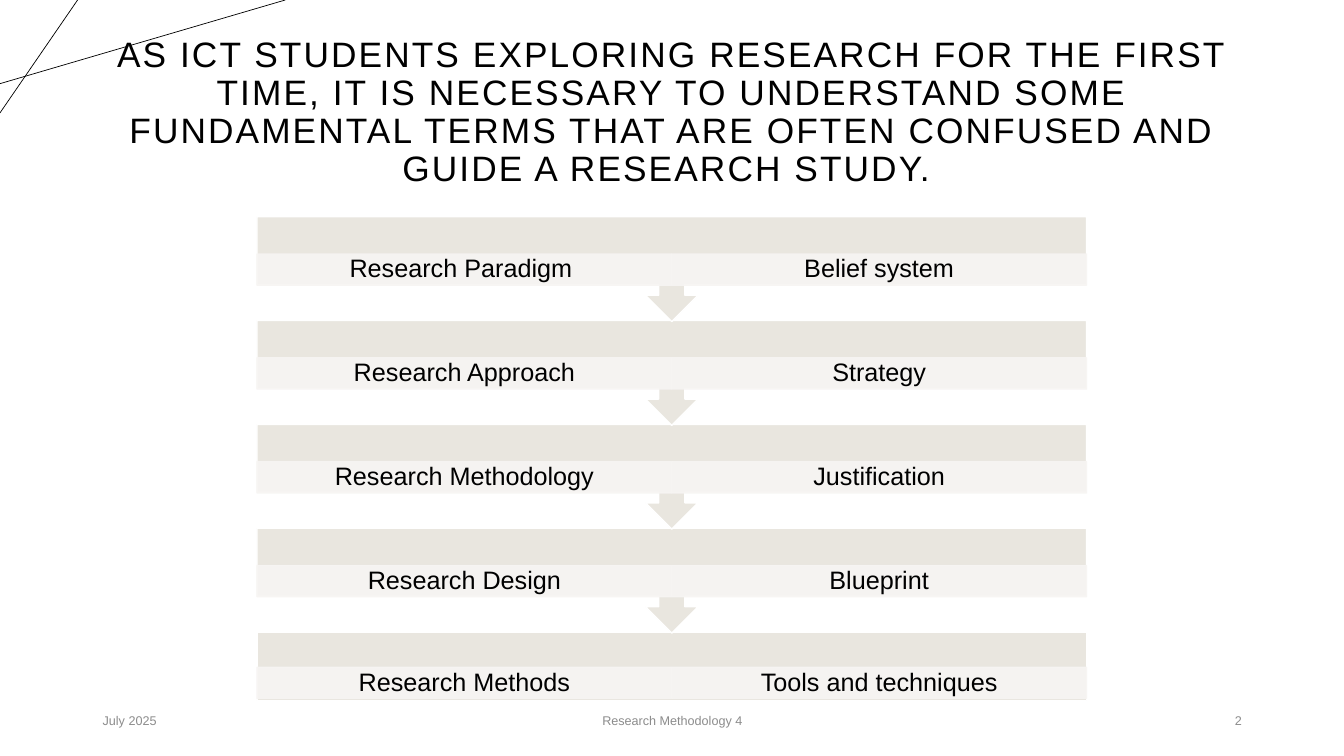
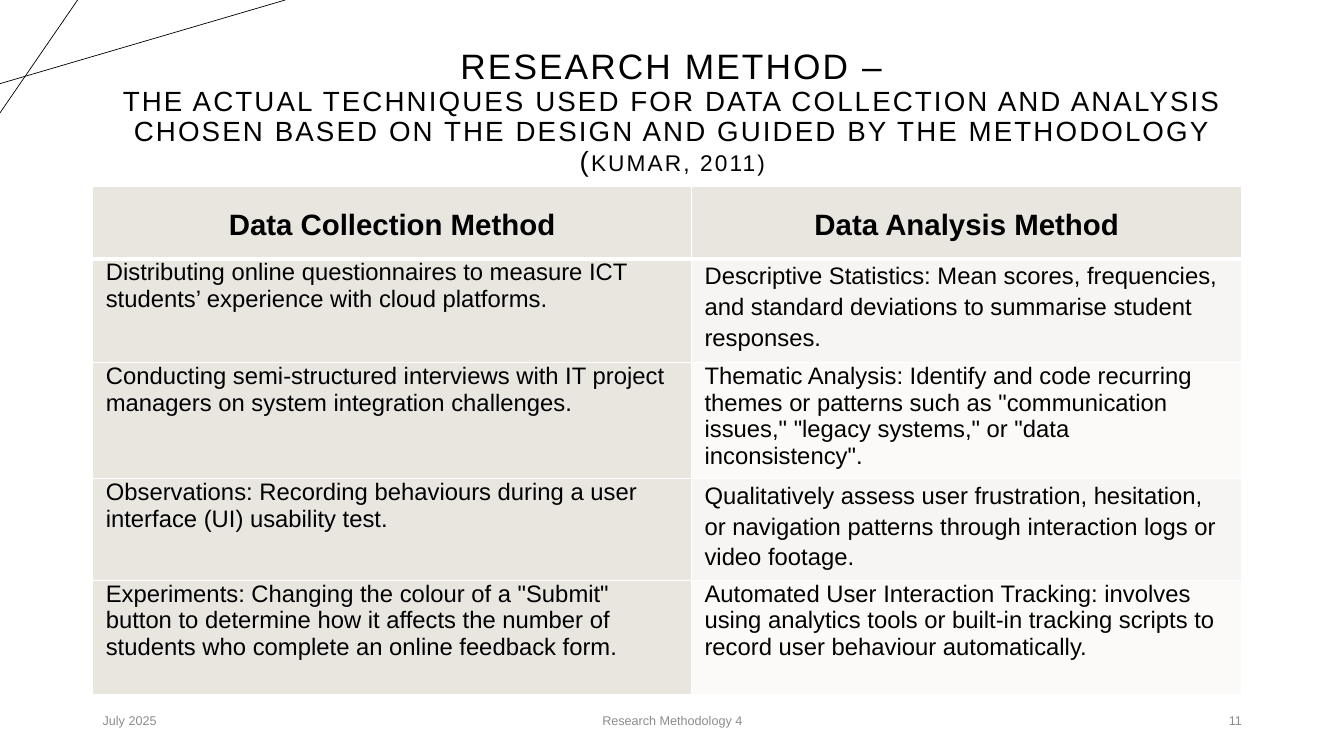
"""Build two research methodology slides: a chain of terms and a table of methods."""
from dataclasses import dataclass

from lxml.etree import SubElement
from pptx import Presentation
from pptx.dml.color import RGBColor
from pptx.enum.shapes import MSO_CONNECTOR, MSO_SHAPE
from pptx.enum.text import MSO_ANCHOR, MSO_AUTO_SIZE, PP_ALIGN
from pptx.oxml.ns import qn
from pptx.util import Inches, Pt


@dataclass(frozen=True)
class Theme:
    font: str = "Arial"
    ink: str = "000000"
    muted: str = "8C8C8C"
    paper: str = "FFFFFF"
    sand: str = "E9E6DF"
    pale: str = "F7F5F3"
    paler: str = "FBFAF9"
    title: float = 25.2
    subtitle: float = 19.8
    citation: float = 16.2
    header: float = 21
    term: float = 18
    body: float = 17
    footer: float = 9


THEME = Theme()

CORNER_LINES = [((0, 0.83), (2.83, 0)), ((0.77, 0), (0, 1.12))]
TITLE_PLACE = (0.92, 0.4, 11.5, 1.45)
FOOTER_TOP, FOOTER_HEIGHT = 6.95, 0.4
DATE, COURSE = "July 2025", "Research Methodology 4"

TERMS_TITLE = [[(
    "AS ICT STUDENTS EXPLORING RESEARCH FOR THE FIRST TIME, IT IS NECESSARY TO UNDERSTAND "
    "SOME FUNDAMENTAL TERMS THAT ARE OFTEN CONFUSED AND GUIDE A RESEARCH STUDY. ", THEME.title)]]
TERMS = [
    ("Research Paradigm ", "Belief system"),
    ("Research Approach", "Strategy"),
    ("Research Methodology", "Justification"),
    ("Research Design", "Blueprint"),
    ("Research Methods", "Tools and techniques"),
]

METHOD_TITLE = [
    [("RESEARCH METHOD –", THEME.title)],
    [("THE ACTUAL TECHNIQUES USED FOR DATA COLLECTION AND ANALYSIS CHOSEN BASED ON THE DESIGN "
      "AND GUIDED BY THE METHODOLOGY (", THEME.subtitle), ("KUMAR, 2011)", THEME.citation)],
]
METHOD_HEADERS = ("Data Collection Method", "Data Analysis Method")
METHODS = [
    ("Distributing online questionnaires to measure ICT students’ experience with cloud platforms.",
     "Descriptive Statistics: Mean scores, frequencies, and standard deviations to summarise "
     "student responses."),
    ("Conducting semi-structured interviews with IT project managers on system integration "
     "challenges.",
     "Thematic Analysis: Identify and code recurring themes or patterns such as \"communication "
     "issues,\" \"legacy systems,\" or \"data inconsistency\"."),
    ("Observations: Recording behaviours during a user interface (UI) usability test.",
     "Qualitatively assess user frustration, hesitation, or navigation patterns through "
     "interaction logs or video footage."),
    ("Experiments: Changing the colour of a \"Submit\" button to determine how it affects the "
     "number of students who complete an online feedback form.",
     "Automated User Interaction Tracking: involves using analytics tools or built-in tracking "
     "scripts to record user behaviour automatically."),
]
COLUMN_WIDTHS = (5.94, 5.46)
ROW_HEIGHTS = (0.72, 1.03, 1.15, 1.01, 1.13)


def inches(*values):
    return [Inches(value) for value in values]


def rgb(code):
    return RGBColor.from_string(code)


def add_span(para, text, size, color=THEME.ink, bold=False):
    span = para.add_run()
    span.text = text
    span.font.name = THEME.font
    span.font.size = Pt(size)
    span.font.bold = bold
    span.font.color.rgb = rgb(color)
    return span


def set_frame(frame, margins):
    frame.word_wrap = True
    frame.auto_size = MSO_AUTO_SIZE.NONE
    frame.vertical_anchor = MSO_ANCHOR.MIDDLE
    frame.margin_left = frame.margin_right = Inches(margins[0])
    frame.margin_top = frame.margin_bottom = Inches(margins[1])


def add_title(slide, lines):
    title = slide.shapes.title
    title.left, title.top, title.width, title.height = inches(*TITLE_PLACE)
    set_frame(title.text_frame, (0.1, 0.05))
    para = title.text_frame.paragraphs[0]
    para.alignment = PP_ALIGN.CENTER
    para.line_spacing = 0.9
    for index, line in enumerate(lines):
        if index:
            para.add_line_break()
        for text, size in line:
            span = add_span(para, text, size)
            span.font._element.set("spc", "150")


def add_corner_lines(slide):
    for start, end in CORNER_LINES:
        line = slide.shapes.add_connector(MSO_CONNECTOR.STRAIGHT, *inches(*start, *end))
        line.line.color.rgb = rgb(THEME.ink)
        line.line.width = Pt(0.5)
        SubElement(line._element.spPr, qn("a:effectLst"))


def add_footer(slide, number):
    parts = [(0.92, 3, DATE, PP_ALIGN.LEFT), (4.42, 4.5, COURSE, PP_ALIGN.CENTER),
             (9.42, 3, str(number), PP_ALIGN.RIGHT)]
    for left, width, text, alignment in parts:
        box = slide.shapes.add_textbox(*inches(left, FOOTER_TOP, width, FOOTER_HEIGHT))
        set_frame(box.text_frame, (0.1, 0.05))
        para = box.text_frame.paragraphs[0]
        para.alignment = alignment
        add_span(para, text, THEME.footer, THEME.muted)


def add_base_slide(deck, title, number):
    slide = deck.slides.add_slide(deck.slide_layouts[5])
    add_corner_lines(slide)
    add_title(slide, title)
    add_footer(slide, number)
    return slide


def add_panel(slide, kind, place, fill, line):
    panel = slide.shapes.add_shape(kind, *inches(*place))
    panel.shadow.inherit = False
    panel.fill.solid()
    panel.fill.fore_color.rgb = rgb(fill)
    panel.line.color.rgb = rgb(line)
    panel.line.width = Pt(1)
    return panel


def set_opacity(panel, percent):
    for color in panel._element.spPr.iter(qn("a:srgbClr")):
        SubElement(color, qn("a:alpha"), val=str(percent * 1000))


def add_term_chain(slide):
    left, top, width, pitch = 2.55, 2.15, 8.23, 1.03
    half = width / 2
    last = len(TERMS) - 1
    for index, names in reversed(list(enumerate(TERMS))):
        band_top = top + index * pitch
        is_last = index == last
        kind = MSO_SHAPE.RECTANGLE if is_last else MSO_SHAPE.DOWN_ARROW_CALLOUT
        height, name_offset = (0.68, 0.35) if is_last else (1.04, 0.37)
        add_panel(slide, kind, (left, band_top, width, height), THEME.sand, THEME.paper)
        for column, name in enumerate(names):
            place = (left + column * half, band_top + name_offset, half, 0.31)
            panel = add_panel(slide, MSO_SHAPE.RECTANGLE, place, THEME.pale, THEME.pale)
            set_opacity(panel, 90)
            set_frame(panel.text_frame, (0.14, 0.03))
            para = panel.text_frame.paragraphs[0]
            para.alignment = PP_ALIGN.CENTER
            para.line_spacing = 0.9
            add_span(para, name, THEME.term)


def set_borders(cell, top, bottom):
    properties = cell._tc.get_or_add_tcPr()
    for side, width in (("L", 1), ("R", 1), ("T", top), ("B", bottom)):
        border = SubElement(properties, qn("a:ln" + side), w=str(Pt(width)))
        fill = SubElement(border, qn("a:solidFill"))
        SubElement(fill, qn("a:srgbClr"), val=THEME.paper)


def fill_cell(cell, text, row, column):
    is_header = row == 0
    set_borders(cell, 3 if row == 1 else 1, 3 if is_header else 1)
    shade = THEME.pale if row % 2 else THEME.paler
    cell.fill.solid()
    cell.fill.fore_color.rgb = rgb(THEME.sand if is_header or column == 0 else shade)
    cell.margin_left = cell.margin_right = Inches(0.13)
    cell.margin_top = cell.margin_bottom = 0
    cell.vertical_anchor = MSO_ANCHOR.MIDDLE if is_header else MSO_ANCHOR.TOP
    para = cell.text_frame.paragraphs[0]
    para.alignment = PP_ALIGN.CENTER if is_header else PP_ALIGN.LEFT
    if is_header or (column == 1 and row % 2):
        para.line_spacing = 1.15
        para.space_after = Pt(10)
    add_span(para, text, THEME.header if is_header else THEME.body, bold=is_header)


def add_method_table(slide):
    rows = [METHOD_HEADERS, *METHODS]
    place = inches(0.92, 1.85, sum(COLUMN_WIDTHS), sum(ROW_HEIGHTS))
    table = slide.shapes.add_table(len(rows), len(COLUMN_WIDTHS), *place).table
    for column, width in zip(table.columns, COLUMN_WIDTHS):
        column.width = Inches(width)
    for row, height in zip(table.rows, ROW_HEIGHTS):
        row.height = Inches(height)
    for row, texts in enumerate(rows):
        for column, text in enumerate(texts):
            fill_cell(table.cell(row, column), text, row, column)


def main():
    deck = Presentation()
    deck.slide_width, deck.slide_height = inches(40 / 3, 7.5)
    add_term_chain(add_base_slide(deck, TERMS_TITLE, 2))
    add_method_table(add_base_slide(deck, METHOD_TITLE, 11))
    deck.save("out.pptx")


if __name__ == "__main__":
    main()
